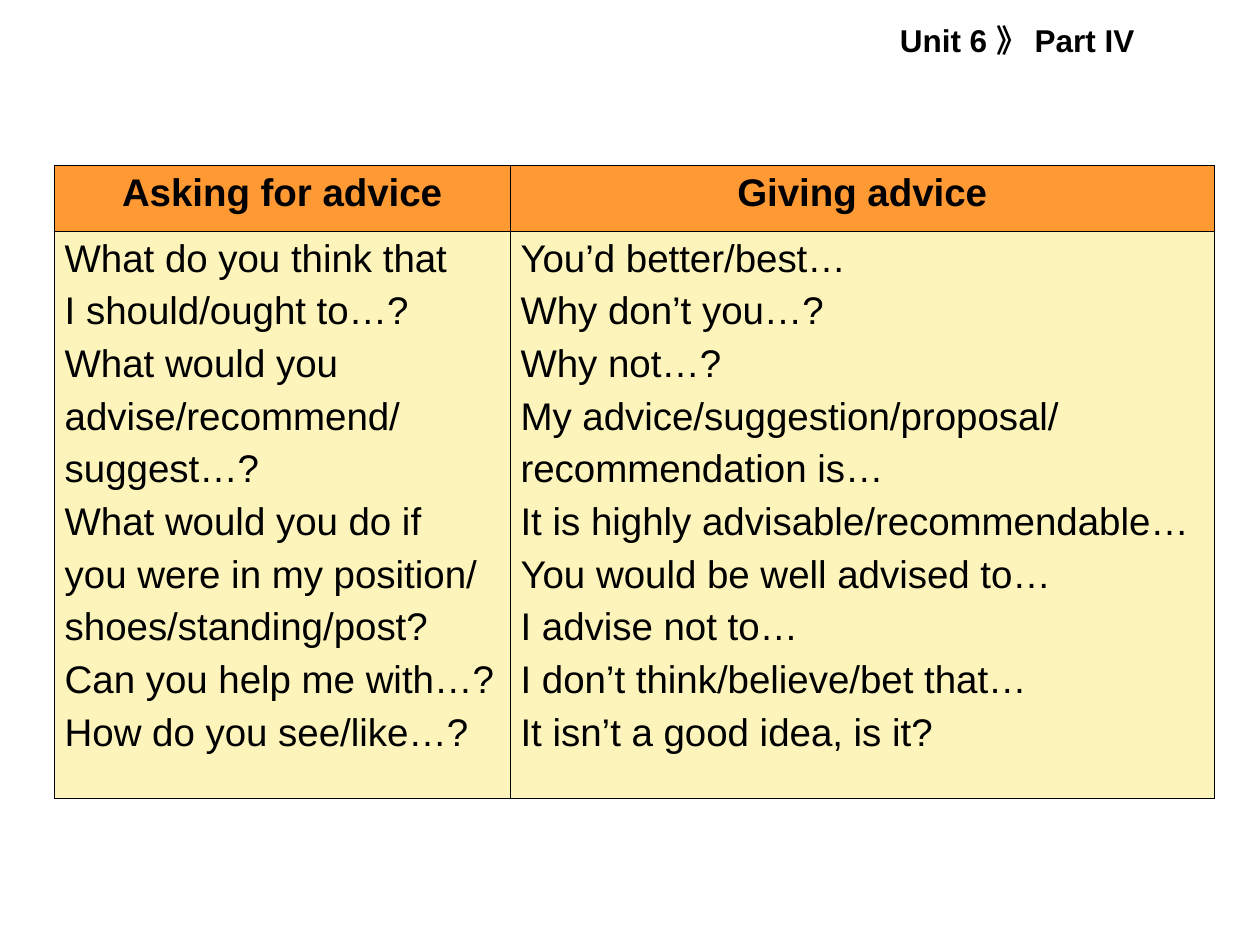
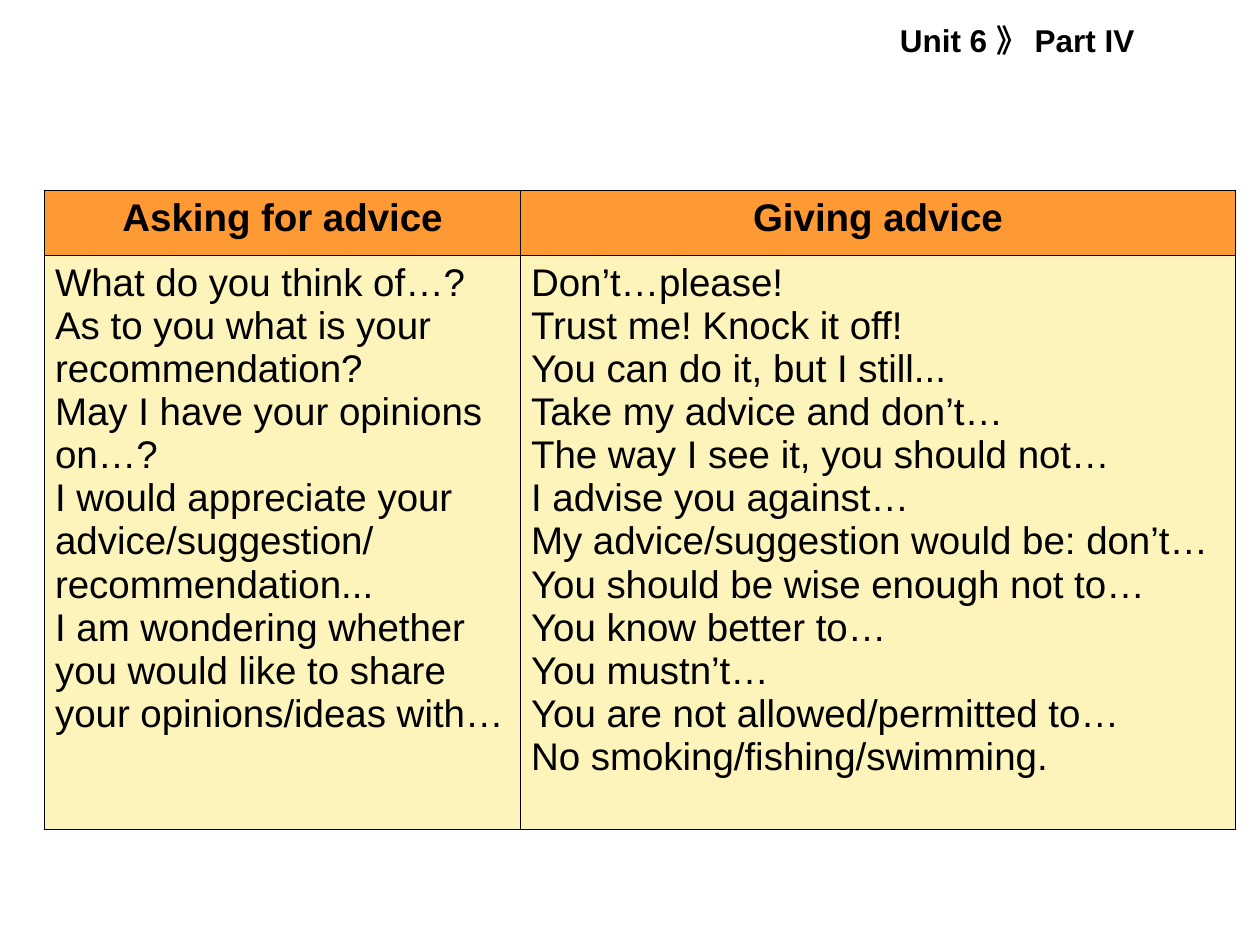
from dataclasses import dataclass
from typing import Any

from lxml.etree import SubElement
from pptx import Presentation
from pptx.dml.color import RGBColor
from pptx.enum.text import MSO_ANCHOR, MSO_AUTO_SIZE, PP_ALIGN
from pptx.oxml.ns import qn
from pptx.util import Pt

COLOURS = {"ink": "000000", "header": "FF9933", "body": "FDF4BB"}
UNIT_TITLE = "Unit 6 》 Part IV"
COLUMN_HEADINGS = ("Asking for advice", "Giving advice")
HEADER_HEIGHT = 37.5
BORDER_WIDTH = 0.45

TITLE_PLACE = {"left": Pt(507), "top": Pt(8.5), "width": Pt(157.5), "height": Pt(29)}
TITLE_FRAME = {
    "margin_left": Pt(7.2), "margin_right": Pt(7.2),
    "margin_top": Pt(3.6), "margin_bottom": Pt(3.6),
    "word_wrap": False,
    "auto_size": MSO_AUTO_SIZE.SHAPE_TO_FIT_TEXT,
    "vertical_anchor": MSO_ANCHOR.TOP,
}
CELL_FORMAT = {
    "margin_left": Pt(6), "margin_right": Pt(6),
    "margin_top": Pt(3.6), "margin_bottom": Pt(3.6),
    "vertical_anchor": MSO_ANCHOR.TOP,
}
TITLE_FONT = {"name": "Arial", "size": Pt(18), "bold": True}
HEADING_FONT = {"name": "Arial", "size": Pt(22), "bold": True}
PHRASE_FONT = {"name": "Arial", "size": Pt(22), "bold": False}


@dataclass(frozen=True)
class AdviceTable:
    left: float
    top: float
    column_widths: tuple[float, float]
    body_height: float
    line_gap: float
    asking: tuple[str, ...]
    giving: tuple[str, ...]


ADVICE_TABLES = (
    AdviceTable(
        left=31, top=94.5, column_widths=(260.5, 402.5), body_height=324.5, line_gap=5.5,
        asking=(
            "What do you think that",
            "I should/ought to…?",
            "What would you",
            "advise/recommend/",
            "suggest…?",
            "What would you do if",
            "you were in my position/",
            "shoes/standing/post?",
            "Can you help me with…?",
            "How do you see/like…?",
        ),
        giving=(
            "You’d better/best…",
            "Why don’t you…?",
            "Why not…?",
            "My advice/suggestion/proposal/",
            "recommendation is…",
            "It is highly advisable/recommendable…",
            "You would be well advised to…",
            "I advise not to…",
            "I don’t think/believe/bet that…",
            "It isn’t a good idea, is it?",
        ),
    ),
    AdviceTable(
        left=25.5, top=108.5, column_widths=(272, 408.5), body_height=328, line_gap=0,
        asking=(
            "What do you think of…?",
            "As to you what is your",
            "recommendation?",
            "May I have your opinions",
            "on…?",
            "I would appreciate your",
            "advice/suggestion/",
            "recommendation...",
            "I am wondering whether",
            "you would like to share",
            "your opinions/ideas with…",
        ),
        giving=(
            "Don’t…please!",
            "Trust me! Knock it off!",
            "You can do it, but I still...",
            "Take my advice and don’t…",
            "The way I see it, you should not…",
            "I advise you against…",
            "My advice/suggestion would be: don’t…",
            "You should be wise enough not to…",
            "You know better to…",
            "You mustn’t…",
            "You are not allowed/permitted to…",
            "No smoking/fishing/swimming.",
        ),
    ),
)


def apply_format(target: Any, values: dict[str, Any]) -> None:
    for name, value in values.items():
        setattr(target, name, value)


def write_lines(text_frame: Any, lines: tuple[str, ...], font_format: dict[str, Any],
                alignment: PP_ALIGN, line_gap: float = 0) -> None:
    for index, line in enumerate(lines):
        paragraph = text_frame.add_paragraph() if index else text_frame.paragraphs[0]
        paragraph.alignment = alignment
        if index:
            paragraph.space_before = Pt(line_gap)
        run = paragraph.add_run()
        run.text = line
        apply_format(run.font, font_format)
        run.font.color.rgb = RGBColor.from_string(COLOURS["ink"])


def add_borders(cell: Any) -> None:
    properties = cell._tc.get_or_add_tcPr()
    for side in ("a:lnL", "a:lnR", "a:lnT", "a:lnB"):
        line = SubElement(properties, qn(side), w=str(Pt(BORDER_WIDTH)))
        fill = SubElement(line, qn("a:solidFill"))
        SubElement(fill, qn("a:srgbClr"), val=COLOURS["ink"])


def draw_title(slide: Any) -> None:
    title = slide.shapes.title
    apply_format(title, TITLE_PLACE)
    apply_format(title.text_frame, TITLE_FRAME)
    write_lines(title.text_frame, (UNIT_TITLE,), TITLE_FONT, PP_ALIGN.LEFT)


def draw_cell(cell: Any, colour: str) -> None:
    apply_format(cell, CELL_FORMAT)
    add_borders(cell)
    cell.fill.solid()
    cell.fill.fore_color.rgb = RGBColor.from_string(COLOURS[colour])


def draw_table(slide: Any, advice: AdviceTable) -> None:
    row_heights = (HEADER_HEIGHT, advice.body_height)
    table = slide.shapes.add_table(
        2, 2, Pt(advice.left), Pt(advice.top),
        Pt(sum(advice.column_widths)), Pt(sum(row_heights)),
    ).table
    apply_format(table, {"first_row": False, "horz_banding": False})
    for row, height in zip(table.rows, row_heights):
        row.height = Pt(height)
    for index, phrases in enumerate((advice.asking, advice.giving)):
        table.columns[index].width = Pt(advice.column_widths[index])
        heading, body = table.cell(0, index), table.cell(1, index)
        draw_cell(heading, "header")
        draw_cell(body, "body")
        write_lines(heading.text_frame, (COLUMN_HEADINGS[index],), HEADING_FONT, PP_ALIGN.CENTER)
        write_lines(body.text_frame, phrases, PHRASE_FONT, PP_ALIGN.LEFT, advice.line_gap)


def main() -> None:
    presentation = Presentation()
    apply_format(presentation, {"slide_width": Pt(720), "slide_height": Pt(540)})
    title_only = presentation.slide_layouts.get_by_name("Title Only")
    for advice in ADVICE_TABLES:
        slide = presentation.slides.add_slide(title_only)
        draw_title(slide)
        draw_table(slide, advice)
    presentation.save("out.pptx")


if __name__ == "__main__":
    main()
